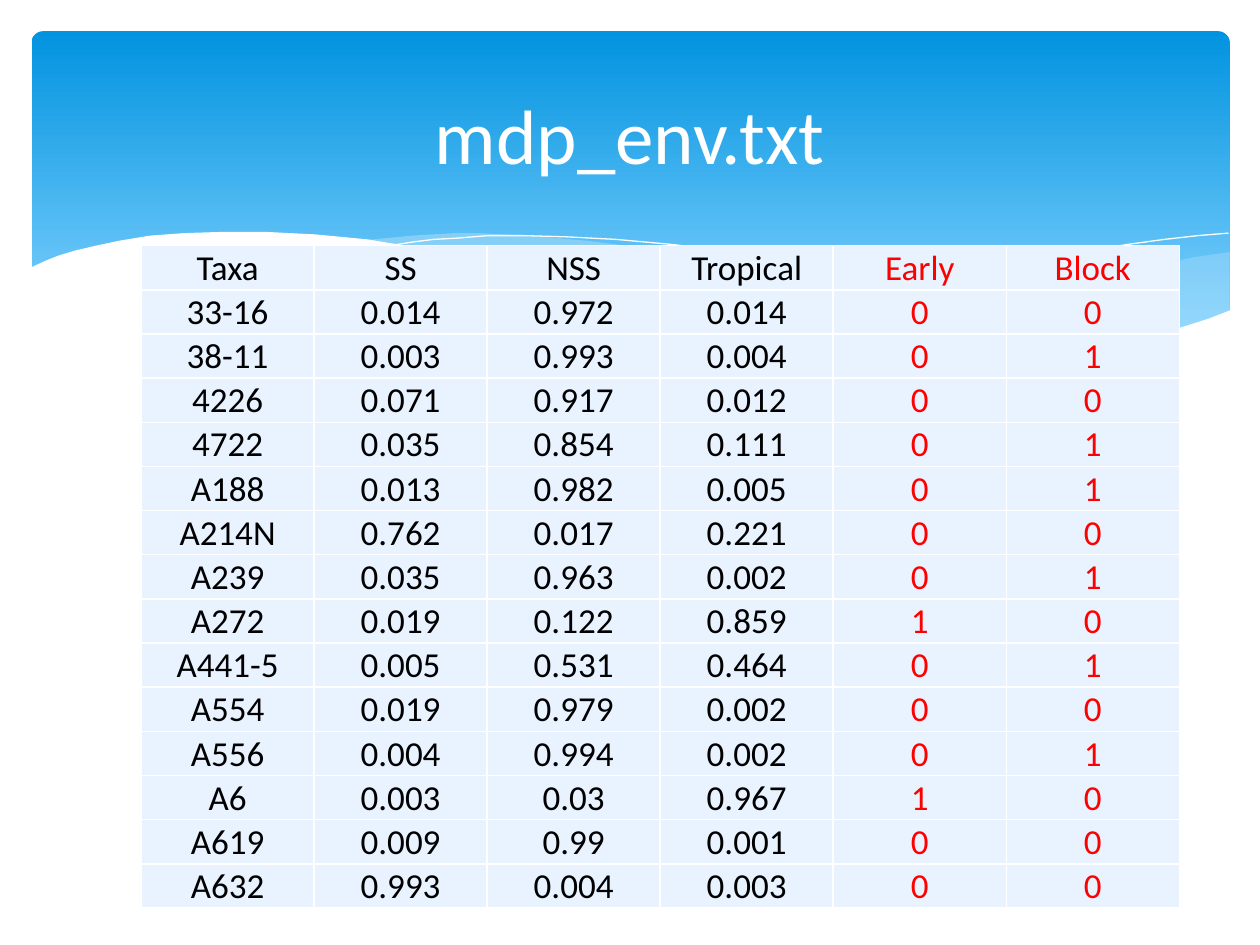
from lxml import etree
from pptx import Presentation
from pptx import util as u
from pptx.dml.color import RGBColor
from pptx.enum import shapes, text
from pptx.oxml import ns

WIDTH, HEIGHT = 10, 7.5
FONT = "Calibri"
WHITE = RGBColor(0xFF, 0xFF, 0xFF)
BLACK = RGBColor(0, 0, 0)
RED = RGBColor(0xFF, 0, 0)
SKY_TOP = RGBColor(0x02, 0x93, 0xE0)
SKY_BOTTOM = RGBColor(0x83, 0xD3, 0xFE)
MIST = RGBColor(0xC6, 0xE7, 0xFC)
CELL_FILL = RGBColor(0xE8, 0xF3, 0xFF)

# Wave outlines, in inches
RIGHT_WAVE = [
    (9.76, 2), (9.48, 2.04), (9.21, 2.1), (8.91, 2.16), (8.61, 2.23), (8.05, 2.37),
    (7.53, 2.48), (7.06, 2.57), (6.61, 2.65), (6.91, 2.69), (7.19, 2.72), (7.45, 2.75),
    (7.69, 2.77), (8.03, 2.78), (8.35, 2.77), (8.63, 2.75), (8.89, 2.72), (9.13, 2.67),
    (9.35, 2.62), (9.49, 2.57), (9.63, 2.52), (9.76, 2.47)]
MIDDLE_WAVE = [
    (8.93, 2.73), (8.66, 2.69), (8.37, 2.65), (8.07, 2.6), (7.75, 2.54), (7.41, 2.47),
    (7.06, 2.4), (6.68, 2.31), (6.29, 2.22), (5.98, 2.14), (5.69, 2.08), (5.41, 2.03),
    (5.14, 1.98), (4.89, 1.94), (4.65, 1.91), (4.42, 1.89), (4.2, 1.87), (3.99, 1.86),
    (3.8, 1.85), (3.61, 1.85), (3.28, 1.87), (2.86, 1.91), (3.23, 1.96), (3.62, 2.03),
    (4.04, 2.11), (4.49, 2.22), (4.91, 2.32), (5.3, 2.4), (5.66, 2.48), (6.01, 2.55),
    (6.34, 2.61), (6.65, 2.66), (6.95, 2.7), (7.22, 2.74), (7.48, 2.76), (7.73, 2.77),
    (7.96, 2.78), (8.28, 2.78), (8.57, 2.77), (8.76, 2.75)]
LONG_CREST = [
    (3.09, 1.95), (3.28, 1.92), (3.44, 1.9), (3.63, 1.89), (3.87, 1.87), (4.16, 1.87),
    (4.5, 1.88), (4.89, 1.9), (5.33, 1.94), (5.82, 2), (6.08, 2.04), (6.36, 2.08),
    (6.65, 2.13), (6.95, 2.19), (7.27, 2.26), (7.6, 2.33), (7.95, 2.41), (8.31, 2.51),
    (8.69, 2.61), (9.07, 2.72)]
SHORT_CREST = [
    (6.13, 2.57), (6.53, 2.46), (6.95, 2.35), (7.48, 2.23), (8.06, 2.1), (8.36, 2.04),
    (8.66, 1.99), (8.95, 1.94), (9.24, 1.9), (9.51, 1.87), (9.75, 1.85)]
WHITE_WAVE = [
    (9.77, 2.46), (9.59, 2.53), (9.4, 2.59), (9.2, 2.65), (8.99, 2.69), (8.75, 2.73),
    (8.5, 2.75), (8.23, 2.77), (7.93, 2.76), (7.61, 2.75), (7.26, 2.72), (6.88, 2.68),
    (6.48, 2.62), (6.03, 2.54), (5.55, 2.45), (5.03, 2.33), (4.47, 2.2), (4.18, 2.13),
    (3.91, 2.07), (3.65, 2.02), (3.4, 1.97), (3.16, 1.94), (2.92, 1.9), (2.71, 1.88),
    (2.5, 1.86), (2.3, 1.85), (2.11, 1.84), (1.77, 1.84), (1.46, 1.85), (1.19, 1.87),
    (0.95, 1.91), (0.76, 1.95), (0.59, 1.99), (0.46, 2.03), (0.36, 2.07), (0.23, 2.13),
    (0.23, 3.29), (9.77, 3.29)]

HEADER = ["Taxa", "SS", "NSS", "Tropical", "Early", "Block"]
LINES = [
    ["33-16", "0.014", "0.972", "0.014", "0", "0"],
    ["38-11", "0.003", "0.993", "0.004", "0", "1"],
    ["4226", "0.071", "0.917", "0.012", "0", "0"],
    ["4722", "0.035", "0.854", "0.111", "0", "1"],
    ["A188", "0.013", "0.982", "0.005", "0", "1"],
    ["A214N", "0.762", "0.017", "0.221", "0", "0"],
    ["A239", "0.035", "0.963", "0.002", "0", "1"],
    ["A272", "0.019", "0.122", "0.859", "1", "0"],
    ["A441-5", "0.005", "0.531", "0.464", "0", "1"],
    ["A554", "0.019", "0.979", "0.002", "0", "0"],
    ["A556", "0.004", "0.994", "0.002", "0", "1"],
    ["A6", "0.003", "0.03", "0.967", "1", "0"],
    ["A619", "0.009", "0.99", "0.001", "0", "0"],
    ["A632", "0.993", "0.004", "0.003", "0", "0"],
]
FIRST_RED_COLUMN = HEADER.index("Early")


def share(x, y, width, height):
    """Turn shares of the slide's size into lengths."""
    return [u.Inches(part * size)
            for part, size in zip((x, y, width, height), (WIDTH, HEIGHT) * 2)]


def set_all(target, values):
    for name, value in values.items():
        setattr(target, name, value)


def write(frame, words, size, color):
    para = frame.paragraphs[0]
    para.alignment = text.PP_ALIGN.CENTER
    span = para.add_run()
    span.text = words
    set_all(span.font, {"name": FONT, "size": u.Pt(size), "bold": False})
    span.font.color.rgb = color


def add_sky(page):
    sky = page.shapes.add_shape(shapes.MSO_SHAPE.ROUNDED_RECTANGLE,
                                *share(0.025, 0.033, 0.951, 0.36))
    sky.adjustments[0] = 0.034
    sky.shadow.inherit = False
    sky.line.fill.background()
    sky.fill.gradient()
    sky.fill.gradient_angle = 270
    stops = zip(sky.fill.gradient_stops, (0, 0.9), (SKY_TOP, SKY_BOTTOM))
    for stop, position, color in stops:
        stop.position = position
        stop.color.rgb = color


def add_outline(page, points, closed):
    points = [(u.Inches(x), u.Inches(y)) for x, y in points]
    builder = page.shapes.build_freeform(*points[0])
    builder.add_line_segments(points[1:], close=closed)
    outline = builder.convert_to_shape()
    outline.shadow.inherit = False
    return outline


def add_wave(page, points, color, opacity=100):
    wave = add_outline(page, points, True)
    wave.line.fill.background()
    wave.fill.solid()
    wave.fill.fore_color.rgb = color
    if opacity < 100:
        tint = wave.fill._xPr.find(".//" + ns.qn("a:srgbClr"))
        etree.SubElement(tint, ns.qn("a:alpha"), val=str(opacity * 1000))


def add_crest(page, points):
    crest = add_outline(page, points, False)
    crest.fill.background()
    crest.line.color.rgb = WHITE
    crest.line.width = 0


def place_title(page, words):
    title = page.shapes.title
    set_all(title, dict(zip(("left", "top", "width", "height"),
                            share(0.05, 0.05, 0.9, 0.183))))
    title.text_frame.vertical_anchor = text.MSO_ANCHOR.MIDDLE
    write(title.text_frame, words, 44, WHITE)
    # Bring the title in front of the waves
    page.shapes._spTree.append(title._element)


def add_borders(cell):
    properties = cell._tc.get_or_add_tcPr()
    for side in ("lnL", "lnR", "lnT", "lnB"):
        line = etree.SubElement(properties, ns.qn("a:" + side), w=str(u.Pt(1)))
        fill = etree.SubElement(line, ns.qn("a:solidFill"))
        etree.SubElement(fill, ns.qn("a:srgbClr"), val=str(WHITE))


def add_grid(page, rows):
    box = share(0.112, 0.26, 0.824, 0.695)
    frame = page.shapes.add_table(len(rows), len(rows[0]), *box)
    table = frame.table
    set_all(table, {"first_row": False, "horz_banding": False})
    edges = u.Inches(0.01)
    cell_format = {"margin_left": edges, "margin_right": edges, "margin_top": edges,
                   "margin_bottom": 0, "vertical_anchor": text.MSO_ANCHOR.BOTTOM}
    for r, values in enumerate(rows):
        table.rows[r].height = u.Inches(0.31)
        for c, value in enumerate(values):
            cell = table.cell(r, c)
            set_all(cell, cell_format)
            add_borders(cell)
            cell.fill.solid()
            cell.fill.fore_color.rgb = CELL_FILL
            write(cell.text_frame, value, 20, RED if c >= FIRST_RED_COLUMN else BLACK)
    frame.height = box[3]


def main():
    deck = Presentation()
    set_all(deck, {"slide_width": u.Inches(WIDTH), "slide_height": u.Inches(HEIGHT)})
    page = deck.slides.add_slide(deck.slide_layouts[5])

    # Banner with waves
    add_sky(page)
    add_wave(page, RIGHT_WAVE, MIST, 29)
    add_wave(page, MIDDLE_WAVE, MIST, 40)
    add_crest(page, LONG_CREST)
    add_crest(page, SHORT_CREST)
    add_wave(page, WHITE_WAVE, WHITE)

    # Content
    place_title(page, "mdp_env.txt")
    add_grid(page, [HEADER] + LINES)
    deck.save("out.pptx")


if __name__ == "__main__":
    main()
